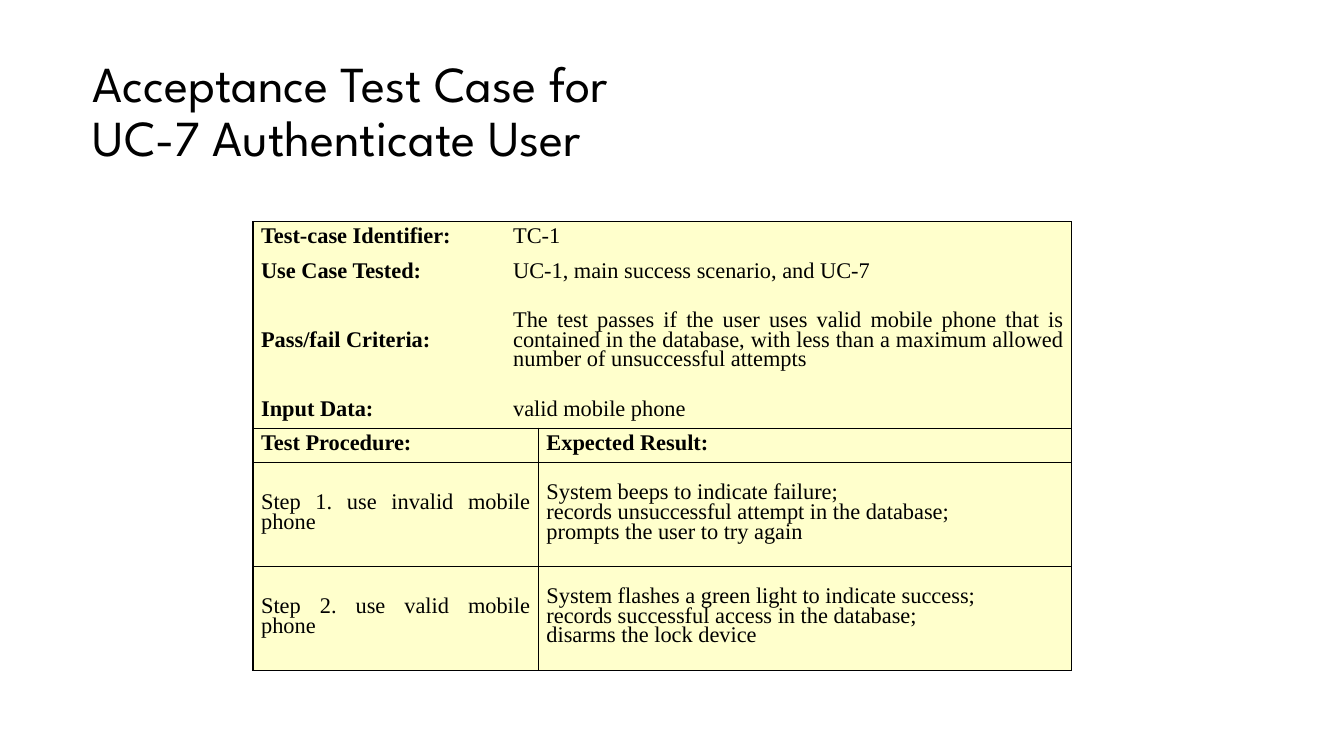
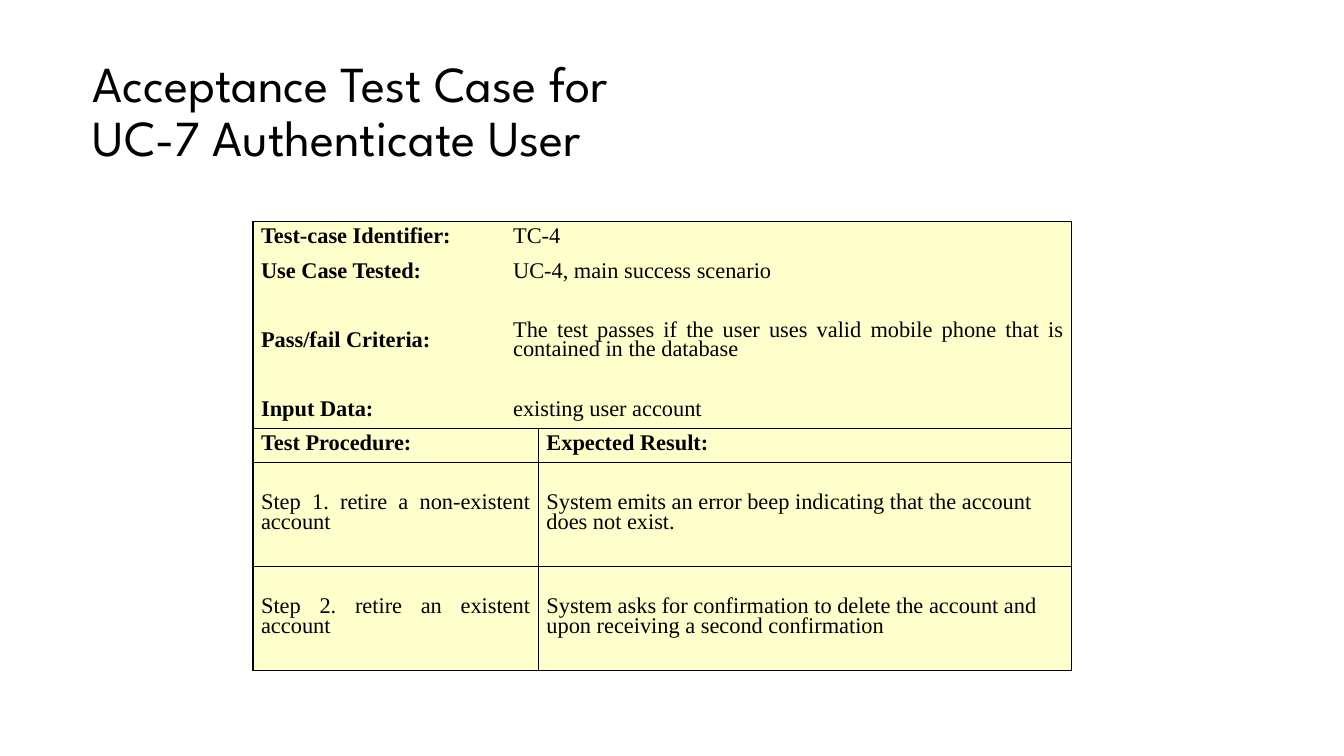
from dataclasses import dataclass

from lxml.etree import SubElement
from pptx import Presentation
from pptx.dml.color import RGBColor
from pptx.enum.text import MSO_ANCHOR as Anchor, PP_ALIGN as Align
from pptx.oxml.ns import qn
from pptx.util import Pt


@dataclass(frozen=True)
class Theme:
    ink: str = "000000"
    paper: str = "FFFFFF"
    cell_fill: str = "FFFFCC"
    title_font: str = "League Spartan"
    table_font: str = "Times New Roman"
    title_size: int = 36
    table_size: int = 16
    border_width: int = 1


THEME = Theme()
EMU_PER_PX = 9144
PAGE_SIZE = (1333, 750)
TITLE_BOX = (92, 40, 1150, 145)
TABLE_ORIGIN = (251, 220)
COLUMN_WIDTHS = (250, 33, 529)
LINE_HEIGHT = 34
BLOCK_HEIGHT = 103
CELL_INSET = 8
NO_STYLE = "{2D5ABB26-0587-4C30-8999-92F81FD0307C}"

TITLE = "Acceptance Test Case for\nUC-7 Authenticate User"
FACT_LABELS = (
    "Test-case Identifier:",
    "Use Case Tested:",
    "Pass/fail Criteria:",
    "Input Data:",
)
FACT_HEIGHTS = (LINE_HEIGHT, LINE_HEIGHT, BLOCK_HEIGHT, LINE_HEIGHT)
STEP_HEADER = ("Test Procedure:", "Expected Result:")

TEST_CASES = (
    {
        "facts": (
            "TC-1",
            "UC-1, main success scenario, and UC-7",
            "The test passes if the user uses valid mobile phone that is contained "
            "in the database, with less than a maximum allowed number of "
            "unsuccessful attempts",
            "valid mobile phone",
        ),
        "steps": (
            (
                "Step 1. use invalid mobile phone",
                "System beeps to indicate failure;\n"
                "records unsuccessful attempt in the database;\n"
                "prompts the user to try again",
            ),
            (
                "Step 2. use valid mobile phone",
                "System flashes a green light to indicate success;\n"
                "records successful access in the database;\n"
                "disarms the lock device",
            ),
        ),
    },
    {
        "facts": (
            "TC-4",
            "UC-4, main success scenario",
            "The test passes if the user uses valid mobile phone that is contained "
            "in the database",
            "existing user account",
        ),
        "steps": (
            (
                "Step 1. retire a non-existent account",
                "System emits an error beep indicating that the account does not exist.",
            ),
            (
                "Step 2. retire an existent account",
                "System asks for confirmation to delete the account and upon "
                "receiving a second confirmation",
            ),
        ),
    },
)


def px(length):
    return length * EMU_PER_PX


def write_text(frame, text, *, font, size, bold=False, align=Align.LEFT, spacing=None):
    para = frame.paragraphs[0]
    para.alignment = align
    para.line_spacing = spacing
    for index, line in enumerate(text.split("\n")):
        if index:
            para.add_line_break()
        span = para.add_run()
        span.text = line
        span.font.name = font
        span.font.size = Pt(size)
        span.font.bold = bold
        span.font.color.rgb = RGBColor.from_string(THEME.ink)
    for line_break in para._p.findall(qn("a:br")):
        SubElement(line_break, qn("a:rPr"), sz=str(size * 100))


def draw_borders(cell, edges):
    properties = cell._tc.get_or_add_tcPr()
    for edge in "LRTB":
        if edge in edges:
            line = SubElement(
                properties, qn(f"a:ln{edge}"), w=str(Pt(THEME.border_width))
            )
            fill = SubElement(line, qn("a:solidFill"))
            SubElement(fill, qn("a:srgbClr"), val=THEME.ink)


def fill_cell(cell, text, edges, *, bold=False, align=Align.JUSTIFY):
    draw_borders(cell, edges)
    cell.fill.solid()
    cell.fill.fore_color.rgb = RGBColor.from_string(THEME.cell_fill)
    cell.margin_left = cell.margin_right = px(CELL_INSET)
    cell.margin_top = cell.margin_bottom = 0
    cell.vertical_anchor = Anchor.MIDDLE
    write_text(
        cell.text_frame,
        text,
        font=THEME.table_font,
        size=THEME.table_size,
        bold=bold,
        align=align,
        spacing=Pt(14),
    )


def fill_group(table, first_row, pairs, split, sides, left_format, right_format):
    for index, (left_text, right_text) in enumerate(pairs):
        row = first_row + index
        edges = "T" * (index == 0) + "B" * (index == len(pairs) - 1)
        left, right = table.cell(row, 0), table.cell(row, split)
        if split == 1:
            right.merge(table.cell(row, 2))
        else:
            left.merge(table.cell(row, 1))
        fill_cell(left, left_text, sides[0] + edges, **left_format)
        fill_cell(right, right_text, sides[1] + edges, **right_format)


def add_title(page, box):
    title = page.shapes.title
    title.left, title.top, title.width, title.height = map(px, box)
    frame = title.text_frame
    frame.word_wrap = True
    frame.vertical_anchor = Anchor.MIDDLE
    frame.margin_left = frame.margin_right = 0
    frame.margin_top = frame.margin_bottom = px(5)
    write_text(
        frame, TITLE, font=THEME.title_font, size=THEME.title_size, spacing=0.9
    )


def add_case_table(page, origin, case):
    facts = list(zip(FACT_LABELS, case["facts"]))
    steps = case["steps"]
    heights = (*FACT_HEIGHTS, LINE_HEIGHT, *(BLOCK_HEIGHT for _ in steps))
    box = (*origin, sum(COLUMN_WIDTHS), sum(heights))
    graphic = page.shapes.add_table(
        len(heights), len(COLUMN_WIDTHS), *map(px, box)
    )
    table = graphic.table
    table.first_row = table.horz_banding = False
    table._tbl.tblPr.find(qn("a:tableStyleId")).text = NO_STYLE
    for column, width in zip(table.columns, COLUMN_WIDTHS):
        column.width = px(width)
    for row, height in zip(table.rows, heights):
        row.height = px(height)

    heading, plain, ragged = {"bold": True}, {}, {"align": Align.LEFT}
    header_row = len(facts)
    fill_group(table, 0, facts, 1, ("L", "R"), heading, plain)
    fill_group(table, header_row, [STEP_HEADER], 2, ("LR", "LR"), heading, heading)
    fill_group(table, header_row + 1, steps, 2, ("LR", "LR"), plain, ragged)


def add_case_page(deck, case):
    page = deck.slides.add_slide(deck.slide_layouts[5])
    page.background.fill.solid()
    page.background.fill.fore_color.rgb = RGBColor.from_string(THEME.paper)
    add_title(page, TITLE_BOX)
    add_case_table(page, TABLE_ORIGIN, case)


def main():
    deck = Presentation()
    deck.slide_width, deck.slide_height = map(px, PAGE_SIZE)
    for case in TEST_CASES:
        add_case_page(deck, case)
    deck.save("out.pptx")


if __name__ == "__main__":
    main()
